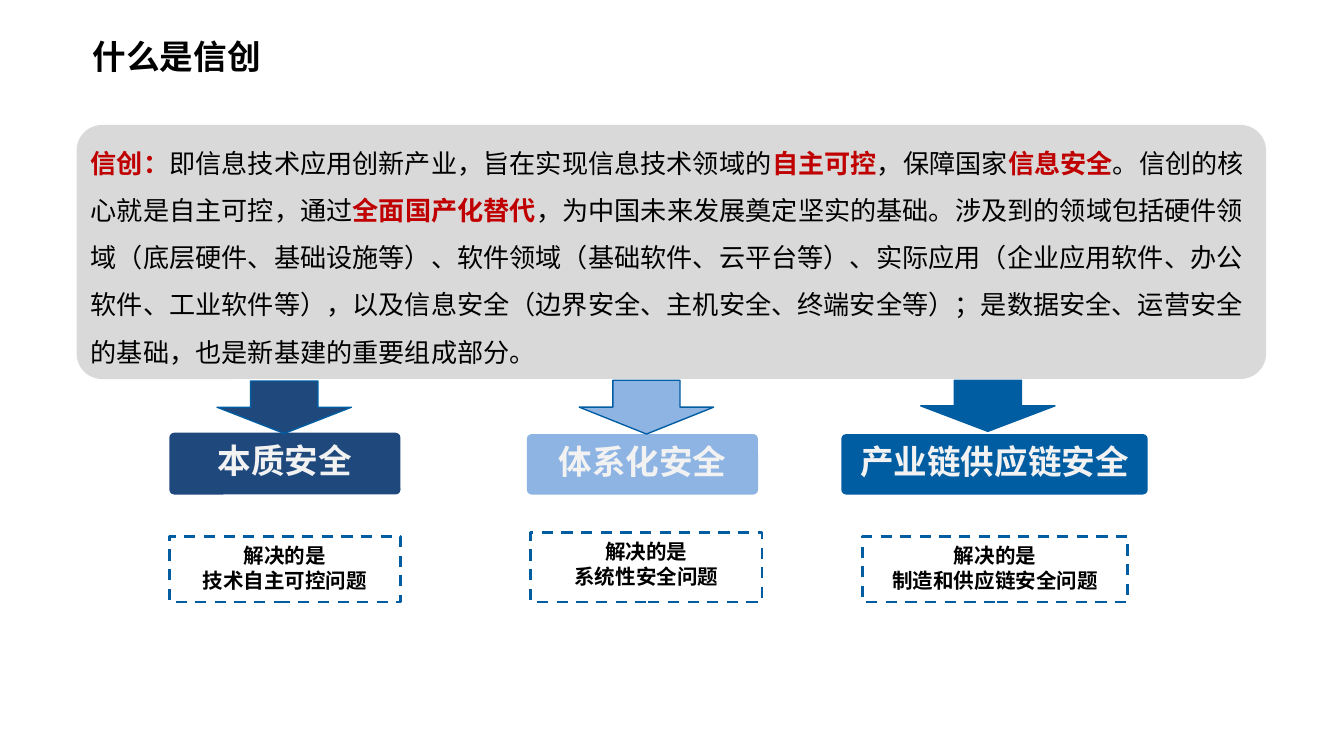
from lxml import etree
from pptx import Presentation, util as u
from pptx.dml.color import RGBColor
from pptx.enum import dml, shapes, text
from pptx.oxml.ns import qn

WIDTH = 10
HEIGHT = WIDTH * 9 / 16
FONT = "Noto Sans CJK SC"
NAVY = RGBColor(0x1F, 0x49, 0x7D)
SKY = RGBColor(0x8E, 0xB4, 0xE3)
BLUE = RGBColor(0x00, 0x5D, 0xA2)
GREY = RGBColor(0xD9, 0xD9, 0xD9)
PALE = RGBColor(0xF2, 0xF2, 0xF2)
RED = RGBColor(0xC0, 0x00, 0x00)
BLACK = RGBColor(0x00, 0x00, 0x00)
WHITE = RGBColor(0xFF, 0xFF, 0xFF)
LEFT, CENTER = text.PP_ALIGN.LEFT, text.PP_ALIGN.CENTER

DEFINITION = [
    ("信创：", True),
    ("即信息技术应用创新产业，旨在实现信息技术领域的", False),
    ("自主可控", True),
    ("，保障国家", False),
    ("信息安全", True),
    ("。信创的核心就是自主可控，通过", False),
    ("全面国产化替代", True),
    ("，为中国未来发展奠定坚实的基础。涉及到的领域包括硬件领域（底层硬件、基础设施等）、"
     "软件领域（基础软件、云平台等）、实际应用（企业应用软件、办公软件、工业软件等），"
     "以及信息安全（边界安全、主机安全、终端安全等）；是数据安全、运营安全的基础，"
     "也是新基建的重要组成部分。", False),
]

GOALS = [
    ("本质安全", "技术自主可控问题", NAVY,
     (1.26, 3.22, 1.72, 0.46), (1.26, 3.99, 1.72, 0.49), (1.92, 2.53, 0.39, 1)),
    ("体系化安全", "系统性安全问题", SKY,
     (3.92, 3.23, 1.72, 0.45), (3.95, 3.96, 1.72, 0.52), (4.61, 2.53, 0.4, 1)),
    ("产业链供应链安全", "制造和供应链安全问题", BLUE,
     (6.26, 3.23, 2.28, 0.45), (6.42, 3.99, 1.97, 0.49), (7.16, 2.52, 0.38, 1)),
]


def style(para, size, color, align=CENTER, bold=True, spacing=None):
    """Format a paragraph and its Latin and East Asian fonts."""
    para.alignment = align
    if spacing:
        para.line_spacing = u.Pt(spacing)
    font = para.font
    font.size, font.bold, font.name = u.Pt(size), bold, FONT
    font.color.rgb = color
    defaults = para._p.pPr.find(qn("a:defRPr"))
    etree.SubElement(defaults, qn("a:ea"), typeface=FONT)


def add_block(page, kind, place, fill, line=None, weight=0.75):
    """Add a filled preset shape with an optional outline."""
    block = page.shapes.add_shape(kind, *map(u.Inches, place))
    block.shadow.inherit = False
    block.fill.solid()
    block.fill.fore_color.rgb = fill
    if line is None:
        block.line.fill.background()
    else:
        block.line.color.rgb = line
        block.line.width = u.Pt(weight)
    block.text_frame.vertical_anchor = text.MSO_ANCHOR.MIDDLE
    return block


def add_rounded(page, place, fill, corner):
    """Add a borderless rounded rectangle."""
    block = add_block(page, shapes.MSO_SHAPE.ROUNDED_RECTANGLE, place, fill)
    block.adjustments[0] = corner
    return block


def add_title(page, words):
    """Place and format the title."""
    title = page.shapes.title
    title.left, title.top = u.Inches(0.59), u.Inches(0.23)
    title.width, title.height = u.Inches(9), u.Inches(0.38)
    title.text_frame.text = words
    title.text_frame.vertical_anchor = text.MSO_ANCHOR.MIDDLE
    style(title.text_frame.paragraphs[0], 18, BLACK, LEFT)


def add_definition(page):
    """Add the grey panel with highlighted key words."""
    frame = add_rounded(page, (0.57, 0.93, 8.85, 1.89), GREY, 0.1).text_frame
    frame.margin_left = frame.margin_right = u.Inches(0.05)
    frame.margin_top, frame.margin_bottom = 0, u.Inches(0.04)
    para = frame.paragraphs[0]
    style(para, 14, BLACK, LEFT, False, 25.3)
    for words, key in DEFINITION:
        span = para.add_run()
        span.text = words
        span.font.bold = key
        span.font.color.rgb = RED if key else BLACK


def add_heading(page, words, place, fill):
    """Add a coloured goal heading."""
    frame = add_rounded(page, place, fill, 0.08).text_frame
    frame.margin_top, frame.margin_bottom = 0, u.Inches(0.05)
    frame.word_wrap = False
    frame.text = words
    style(frame.paragraphs[0], 18, PALE)


def add_problem(page, words, place):
    """Add a dashed box naming the problem solved."""
    box = add_block(page, shapes.MSO_SHAPE.RECTANGLE, place, WHITE, BLUE, 1.5)
    box.line.dash_style = dml.MSO_LINE.DASH
    frame = box.text_frame
    frame.vertical_anchor = text.MSO_ANCHOR.TOP
    frame.margin_top = u.Inches(0.05)
    frame.word_wrap = False
    frame.text = f"解决的是\n{words}"
    for para in frame.paragraphs:
        style(para, 11, BLACK, spacing=13.4)


def add_arrow(page, place, fill):
    """Add a block arrow turned to point down."""
    arrow = add_block(page, shapes.MSO_SHAPE.RIGHT_ARROW, place, fill, BLUE)
    arrow.rotation = 90


def main():
    """Build and save the slide."""
    deck = Presentation()
    deck.slide_width, deck.slide_height = u.Inches(WIDTH), u.Inches(HEIGHT)
    page = deck.slides.add_slide(deck.slide_layouts.get_by_name("Title Only"))
    add_title(page, "什么是信创")
    for heading, problem, color, heading_at, problem_at, arrow_at in GOALS:
        add_heading(page, heading, heading_at, color)
        add_problem(page, problem, problem_at)
        add_arrow(page, arrow_at, color)
    add_definition(page)
    deck.save("out.pptx")


if __name__ == "__main__":
    main()
